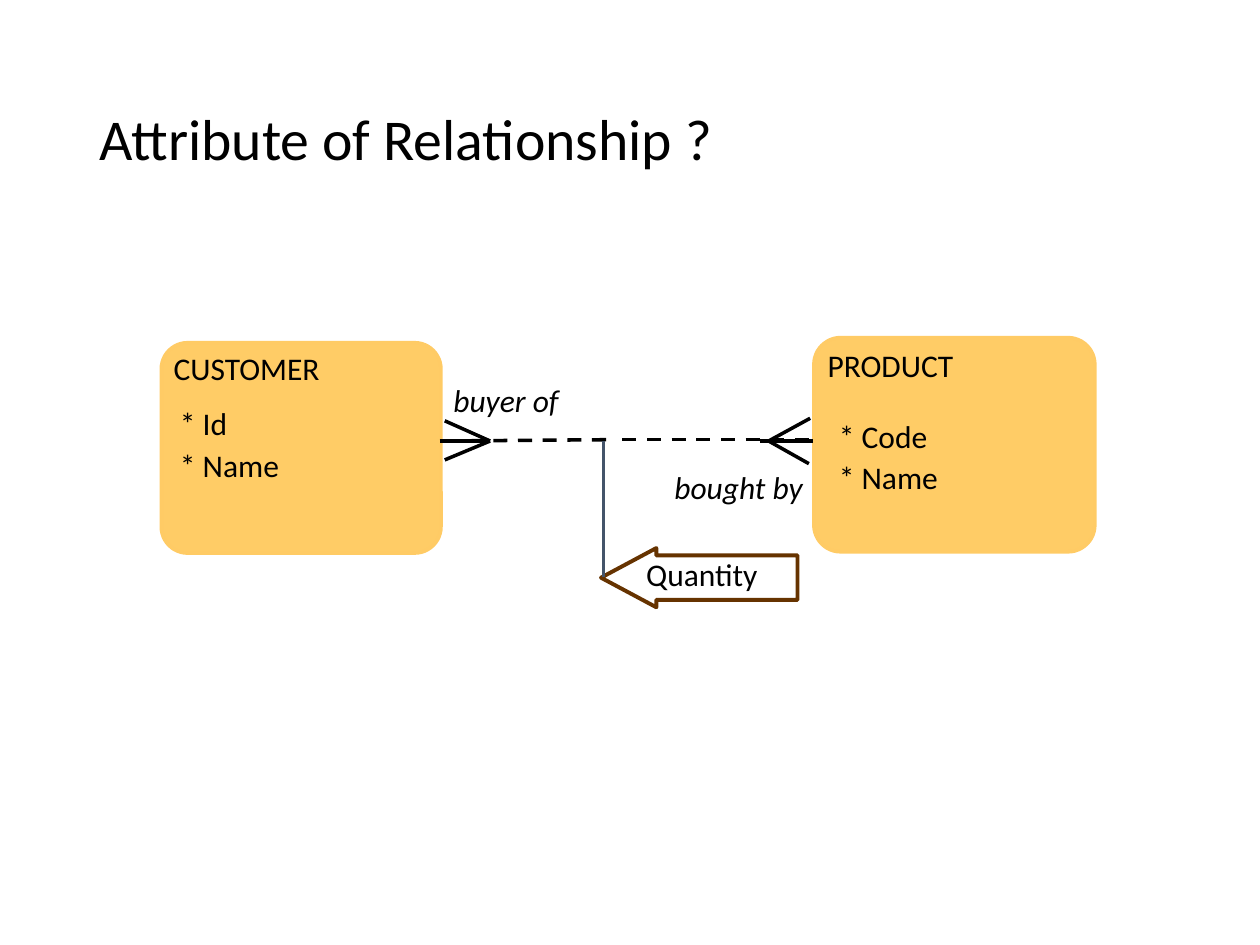
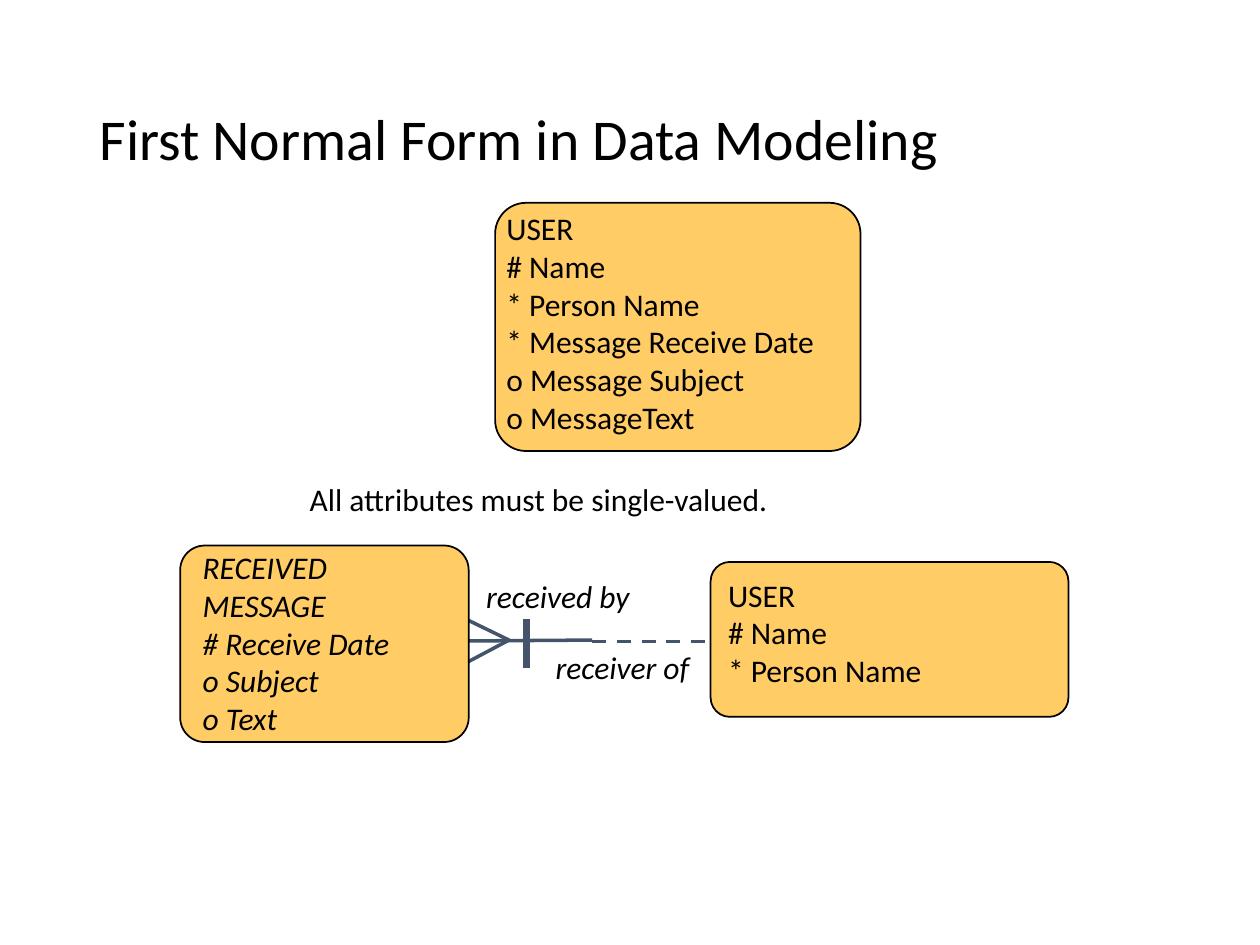
from lxml import etree
from pptx import Presentation
from pptx.dml.color import RGBColor
from pptx.enum.dml import MSO_LINE
from pptx.enum.shapes import MSO_CONNECTOR, MSO_SHAPE
from pptx.enum.text import MSO_ANCHOR, MSO_AUTO_SIZE, PP_ALIGN
from pptx.oxml.ns import qn
from pptx.util import Inches, Pt

COLOURS = {
    "text": "000000",
    "entity": "FFCC66",
    "soft_edge": "FFCB65",
    "attribute": "663300",
    "slate": "44546A",
}
TITLE_FONT = {"name": "Calibri", "size": Pt(33), "bold": False}
BODY_FONT = {"name": "Calibri", "size": Pt(18)}
TITLE_FRAME = {
    "word_wrap": True,
    "auto_size": MSO_AUTO_SIZE.NONE,
    "vertical_anchor": MSO_ANCHOR.MIDDLE,
}
BODY_FRAME = {
    "word_wrap": True,
    "auto_size": MSO_AUTO_SIZE.NONE,
    "vertical_anchor": MSO_ANCHOR.TOP,
}
TITLE_PARAGRAPH = {"alignment": PP_ALIGN.LEFT, "line_spacing": 0.9}
ATTRIBUTE_GAP = {"line_spacing": 0.6, "space_before": Pt(9.6)}


def apply(target, values):
    for name, value in values.items():
        setattr(target, name, value)


def colour(name):
    return RGBColor.from_string(COLOURS[name])


class ModelDeck:
    """Draws entity-relationship slides in one shared style."""

    def __init__(self):
        self.deck = Presentation()
        self.deck.slide_width = Inches(10)
        self.deck.slide_height = Inches(7.5)
        self.slide = None

    def start_slide(self, heading):
        self.slide = self.deck.slides.add_slide(self.deck.slide_layouts[5])
        title = self.slide.shapes.title
        apply(title, {
            "left": Inches(0.69),
            "top": Inches(0.4),
            "width": Inches(8.62),
            "height": Inches(1.45),
        })
        title.text_frame.text = heading
        apply(title.text_frame, TITLE_FRAME)
        paragraph = title.text_frame.paragraphs[0]
        apply(paragraph, TITLE_PARAGRAPH)
        self.style_font(paragraph.runs[0].font, TITLE_FONT)

    def style_font(self, font, values):
        apply(font, values)
        font.color.rgb = colour("text")

    def text(self, at, lines, italic=False, align=PP_ALIGN.LEFT, spacing=1.0, following=None):
        frame = self.slide.shapes.add_textbox(*map(Inches, at)).text_frame
        apply(frame, BODY_FRAME)
        for index, line in enumerate(lines):
            paragraph = frame.paragraphs[0] if index == 0 else frame.add_paragraph()
            apply(paragraph, {"alignment": align, "line_spacing": spacing})
            if index:
                apply(paragraph, following or {})
            run = paragraph.add_run()
            run.text = line
            self.style_font(run.font, {**BODY_FONT, "italic": italic})

    def outline(self, preset, at, adjustments, edge, weight):
        shape = self.slide.shapes.add_shape(preset, *map(Inches, at))
        shape.shadow.inherit = False
        for index, value in enumerate(adjustments):
            shape.adjustments[index] = value
        shape.fill.background()
        shape.line.color.rgb = colour(edge)
        shape.line.width = Pt(weight)
        return shape

    def entity(self, at, edge="text", weight=1):
        box = self.outline(MSO_SHAPE.ROUNDED_RECTANGLE, at, [0.125], edge, weight)
        box.fill.solid()
        box.fill.fore_color.rgb = colour("entity")

    def attribute_arrow(self, at):
        self.outline(MSO_SHAPE.LEFT_ARROW, at, [0.75, 0.935], "attribute", 2.25)

    def line(self, start, end, ink="text", weight=2, dashed=False):
        ends = map(Inches, (*start, *end))
        connector = self.slide.shapes.add_connector(MSO_CONNECTOR.STRAIGHT, *ends)
        connector.line.color.rgb = colour(ink)
        connector.line.width = Pt(weight)
        if dashed:
            connector.line.dash_style = MSO_LINE.DASH
        etree.SubElement(connector._element.spPr, qn("a:effectLst"))

    def crow_foot(self, tip, toes, ink="text"):
        for toe in toes:
            self.line(toe, tip, ink)


def relationship_slide(model):
    model.start_slide("Attribute of Relationship ?")
    for at in [(1.28, 2.72, 2.22, 1.67), (6.46, 2.68, 2.23, 1.7)]:
        model.entity(at, "soft_edge", 2)

    model.line((4.94, 3.49), (6.47, 3.49), dashed=True)
    model.line((4.81, 3.49), (3.5, 3.5), dashed=True)
    model.crow_foot((3.89, 3.5), [(3.53, 3.65), (3.53, 3.34), (3.49, 3.5)])
    model.crow_foot((6.1, 3.5), [(6.42, 3.68), (6.43, 3.32)])
    model.line((6.45, 3.5), (6.03, 3.5))

    model.text((6.47, 2.7, 2.13, 0.4), ["PRODUCT"])
    model.text((1.28, 2.72, 2.17, 0.4), ["CUSTOMER"])
    model.text((1.33, 3.16, 1.46, 0.73), ["* Id", "* Name"], following=ATTRIBUTE_GAP)
    model.text((6.56, 3.26, 1.46, 0.73), ["* Code", "* Name"], following=ATTRIBUTE_GAP)
    model.text((4.58, 3.7, 1.89, 0.37), ["bought by"], True, PP_ALIGN.RIGHT, 0.9)
    model.text((3.5, 3.01, 1.89, 0.37), ["buyer of"], True, spacing=0.9)

    model.attribute_arrow((4.77, 4.35, 1.56, 0.47))
    model.text((5.03, 4.36, 1.28, 0.4), ["Quantity"])
    model.line((4.79, 4.58), (4.79, 3.5), "slate")


def normal_form_slide(model):
    model.start_slide("First Normal Form in Data Modeling")
    model.line((4.7, 5.09), (5.94, 5.09), "slate", dashed=True)
    model.line((3.33, 5.09), (4.7, 5.08), "slate")
    model.crow_foot((4.04, 5.08), [(3.71, 4.92), (3.72, 5.25)], "slate")
    model.line((4.18, 5.3), (4.18, 4.91), "slate", 4)

    for at in [(5.64, 4.46, 2.84, 1.23), (1.43, 4.33, 2.29, 1.56), (3.93, 1.61, 2.9, 1.97)]:
        model.entity(at)

    user = ["USER", "# Name", "* Person Name"]
    message = ["* Message Receive Date", "o Message Subject", "o MessageText"]
    received = ["RECEIVED MESSAGE", "# Receive Date", "o Subject", "o Text"]
    model.text((3.92, 1.61, 3.05, 1.9), user + message)
    model.text((2.36, 3.76, 4.49, 0.4), ["All attributes must be single-valued."])
    model.text((1.51, 4.3, 2.08, 1.6), received, True)
    model.text((5.68, 4.52, 1.97, 1), user)
    model.text((3.76, 4.53, 1.58, 0.4), ["received by"], True)
    model.text((4.31, 5.09, 1.26, 0.7), ["receiver of"], True, PP_ALIGN.RIGHT)


def main():
    model = ModelDeck()
    relationship_slide(model)
    normal_form_slide(model)
    model.deck.save("out.pptx")


if __name__ == "__main__":
    main()
